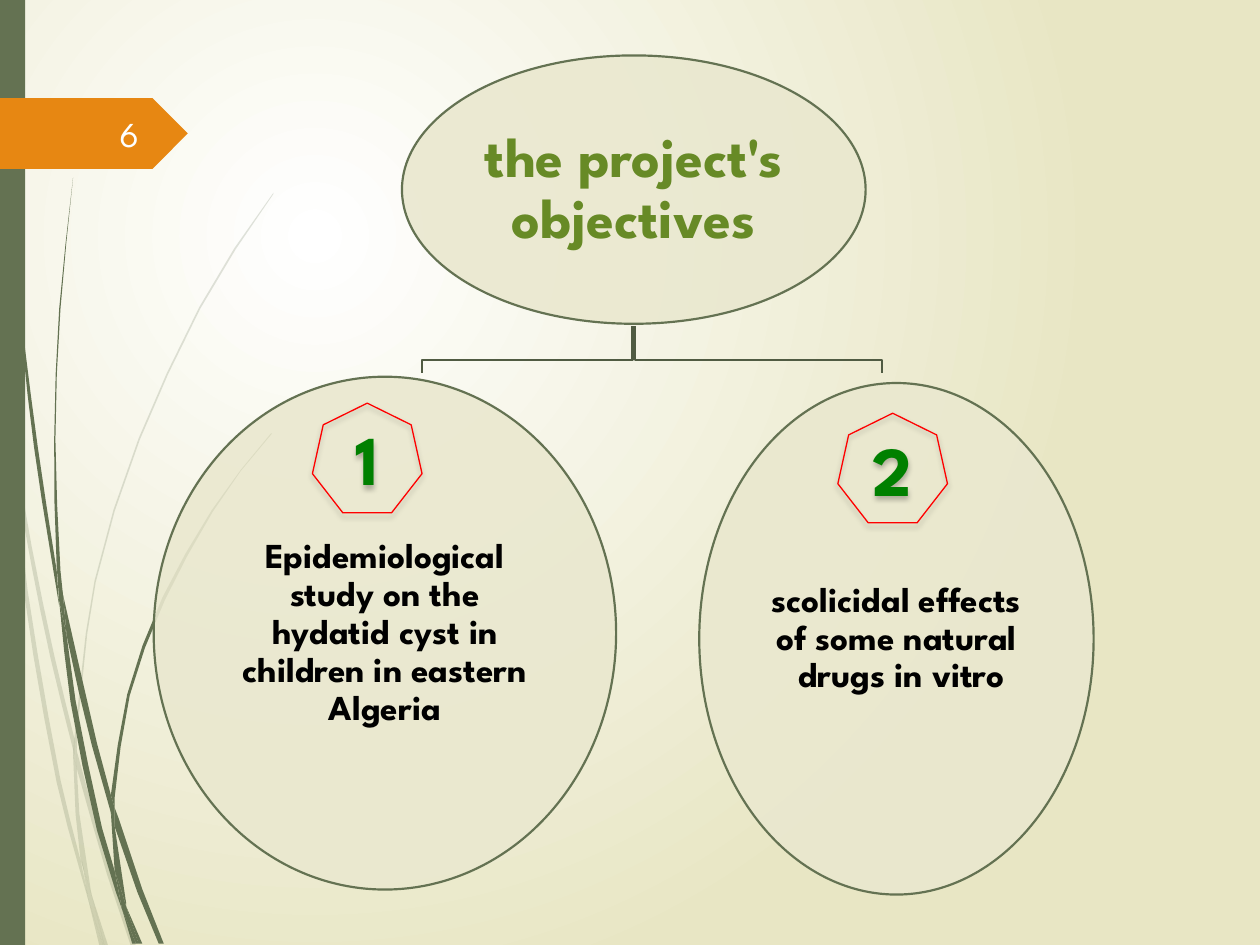
import math
import pptx
import pptx.util
import pptx.oxml
import pptx.oxml.ns
import pptx.dml.color
import pptx.enum.shapes
import pptx.enum.text

FONT = "League Spartan"
GREEN, CREAM, ORANGE = "647252", "EAE8CF", "E78712"
COLS, ROWS = 1000, 750
PALE = [
    "8,350 6,322 0,282 / 0,299 7,344",
    "12,376 25,449 40,522 59,599 / 59,586 43,520 25,433 10,345",
    "61,596 64,607 88,692 108,751 / 104,751 85,694 61,610",
    "73,711 83,751 / 86,751",
    "8,350 19,470 45,621 64,693 70,714 / 69,707 64,683 48,619 22,469 12,376",
    "58,599 60,646 64,683 67,692 73,711 / 72,706 63,646 61,610",
    "59,586 75,461 110,348 158,244 186,197 217,153"
    " / 217,154 187,198 159,245 111,349 76,462 61,584 61,596",
    "70,714 79,751 / 82,751",
    "58,599 61,610 / 61,596 59,586",
    "65,683 70,714 82,751 / 83,751 73,711 67,692",
]
DARK = [
    "2,0 5,110 14,233 27,355 47,481 / 45,453 30,355 15,232 6,109 3,0",
    "50,472 53,505 73,592 88,645 / 88,631 77,590 50,472",
    "91,641 94,649 113,706 130,749 / 126,749 109,708 91,656",
    "47,477 56,557 77,659 92,708 97,722 / 96,717 91,691 81,657 60,556 53,505",
    "50,472 48,453 44,349 48,245 58,141 / 58,141 47,245 43,349 45,449 49,472",
    "100,719 110,749 / 113,749",
    "45,449 47,477 53,505 / 50,472",
    "215,344 191,373 168,405 129,474 101,551 88,631"
    " / 91,641 91,633 103,552 131,476 169,406 191,374 216,344",
    "97,722 105,749 / 108,749",
    "88,645 91,691 96,706 100,719 / 100,716 91,656 90,651",
    "88,631 88,645 91,656 / 91,641",
    "91,691 96,717 97,722 108,749 / 110,749 100,719 96,706",
]
TITLE = ("the project's objectives", (319, 44, 368, 213))
GOALS = [
    ("Epidemiological study on the hydatid cyst in children in eastern Algeria",
     (122, 299, 367, 407), "1", (248, 320, 87, 87)),
    ("scolicidal effects of some natural drugs in vitro ",
     (555, 304, 313, 406), "2", (665, 328, 87, 87)),
]
ARMS = [(504, 700), (502, 335)]
LEVELS = (259, 286, 296)
SHADE = ('<a:effectLst %s><a:outerShdw blurRad="38100" dist="25400" dir="5400000" rotWithShape="0">'
         '<a:srgbClr val="000000"><a:alpha val="25000"/></a:srgbClr></a:outerShdw></a:effectLst>')
RADIAL = ('<a:path %s path="circle"><a:fillToRect l="50000" t="50000" r="100000" b="100000"/></a:path>')
KIND = pptx.enum.shapes.MSO_SHAPE
ALIGN = pptx.enum.text.PP_ALIGN
NS = pptx.oxml.ns.nsdecls("a")

deck = pptx.Presentation()
deck.slide_width = pptx.util.Inches(10)
deck.slide_height = pptx.util.Inches(7.5)
CELL = deck.slide_width // COLS
slide = deck.slides.add_slide(deck.slide_layouts[5])
shapes = slide.shapes


def tint(code):
    return pptx.dml.color.RGBColor.from_string(code)


def scale(nums):
    return [round(n * CELL) for n in nums]


def paint(shape, fill=None, line=None, width=1.25, alpha=100):
    shape.shadow.inherit = False
    if fill:
        shape.fill.solid()
        shape.fill.fore_color.rgb = tint(fill)
        if alpha < 100:
            color = shape._element.spPr.find(".//" + pptx.oxml.ns.qn("a:srgbClr"))
            color.append(pptx.oxml.parse_xml(f'<a:alpha {NS} val="{alpha * 1000}"/>'))
    else:
        shape.fill.background()
    if line:
        shape.line.color.rgb = tint(line)
        shape.line.width = pptx.util.Pt(width)
    else:
        shape.line.fill.background()
    return shape


def write(shape, text, size=20, color="000000", bold=True, align=ALIGN.CENTER,
          inset=8, rtl=False, space=None):
    frame = shape.text_frame
    frame.text = text
    frame.word_wrap = True
    frame.auto_size = pptx.enum.text.MSO_AUTO_SIZE.NONE
    frame.vertical_anchor = pptx.enum.text.MSO_ANCHOR.MIDDLE
    frame.margin_left = frame.margin_right = inset * CELL
    frame.margin_top = frame.margin_bottom = min(inset, 8) * CELL
    para = frame.paragraphs[0]
    para.alignment = align
    para.line_spacing = space
    if rtl:
        para._p.get_or_add_pPr().set("rtl", "1")
    font = para.runs[0].font
    font.name, font.size, font.bold = FONT, pptx.util.Pt(size), bold
    font.color.rgb = tint(color)


def draw(points, close=True):
    first, *rest = [scale(p) for p in points]
    pen = shapes.build_freeform(*first)
    pen.add_line_segments(rest, close=close)
    return pen.convert_to_shape()


def curve(edge, reach=60):
    pts = [tuple(map(int, pair.split(","))) for pair in edge.split()]
    last = len(pts) - 1
    slopes = []
    for i in range(len(pts)):
        a, b = pts[max(i - 1, 0)], pts[min(i + 1, last)]
        slopes.append((b[0] - a[0]) / (b[1] - a[1]) if last else 0)
    out = pts[:1]
    for i in range(last):
        (x, y), (u, v) = pts[i], pts[i + 1]
        h = v - y
        steps = math.ceil(abs(h) / reach)
        for k in range(1, steps + 1):
            t = k / steps
            s = t * t * (3 - 2 * t)
            bend = h * t * (1 - t) * (slopes[i] * (1 - t) - slopes[i + 1] * t)
            out.append((x + (u - x) * s + bend, y + h * t))
    return out


def inner(box):
    x, y, w, h = box
    root = math.sqrt(0.5)
    gap = (1 - root) / 2
    return x + w * gap, y + h * gap, w * root, h * root


def oval(box):
    paint(shapes.add_shape(KIND.OVAL, *scale(box)), CREAM, GREEN, alpha=90)


back = slide.background.fill
back.gradient()
for stop, code in zip(back.gradient_stops, ("FFFFFF", "E8E6C4")):
    stop.color.rgb = tint(code)
lin = slide.background._cSld.find(".//" + pptx.oxml.ns.qn("a:lin"))
lin.getparent().replace(lin, pptx.oxml.parse_xml(RADIAL % NS))

for group, alpha in ((PALE, 20), (DARK, 100)):
    for wisp in group:
        points = [p for edge in wisp.split("/") for p in curve(edge)]
        paint(draw(points), GREEN, alpha=alpha)

paint(shapes.add_shape(KIND.RECTANGLE, *scale((0, 0, 20, ROWS))), GREEN)
paint(shapes.add_shape(KIND.PENTAGON, *scale((0, 78, 149, 56))), ORANGE)
page = shapes.add_textbox(*scale((56, 86, 64, 40)))
write(page, "6", color="FEFFFF", bold=False, align=ALIGN.RIGHT, inset=10)

top, mid, low = LEVELS
for stem, end in ARMS:
    paint(draw([(stem, top), (stem, mid), (end, mid), (end, low)], False), line="505B42")

text, box = TITLE
oval(box)
head = shapes.title
head.left, head.top, head.width, head.height = scale(inner(box))
write(head, text, size=32, color="678A26", rtl=True, space=0.9)
shapes._spTree.append(head._element)

for text, box, _, _ in GOALS:
    oval(box)
    write(shapes.add_textbox(*scale(inner(box))), text, rtl=True, space=0.9)

for _, _, num, box in GOALS:
    badge = paint(shapes.add_shape(KIND.HEPTAGON, *scale(box)), line="FF0000", width=0.75)
    props = badge._element.spPr
    props.replace(props.find(pptx.oxml.ns.qn("a:effectLst")), pptx.oxml.parse_xml(SHADE % NS))
    write(badge, num, size=40, color="008000", inset=10)

deck.save("out.pptx")
